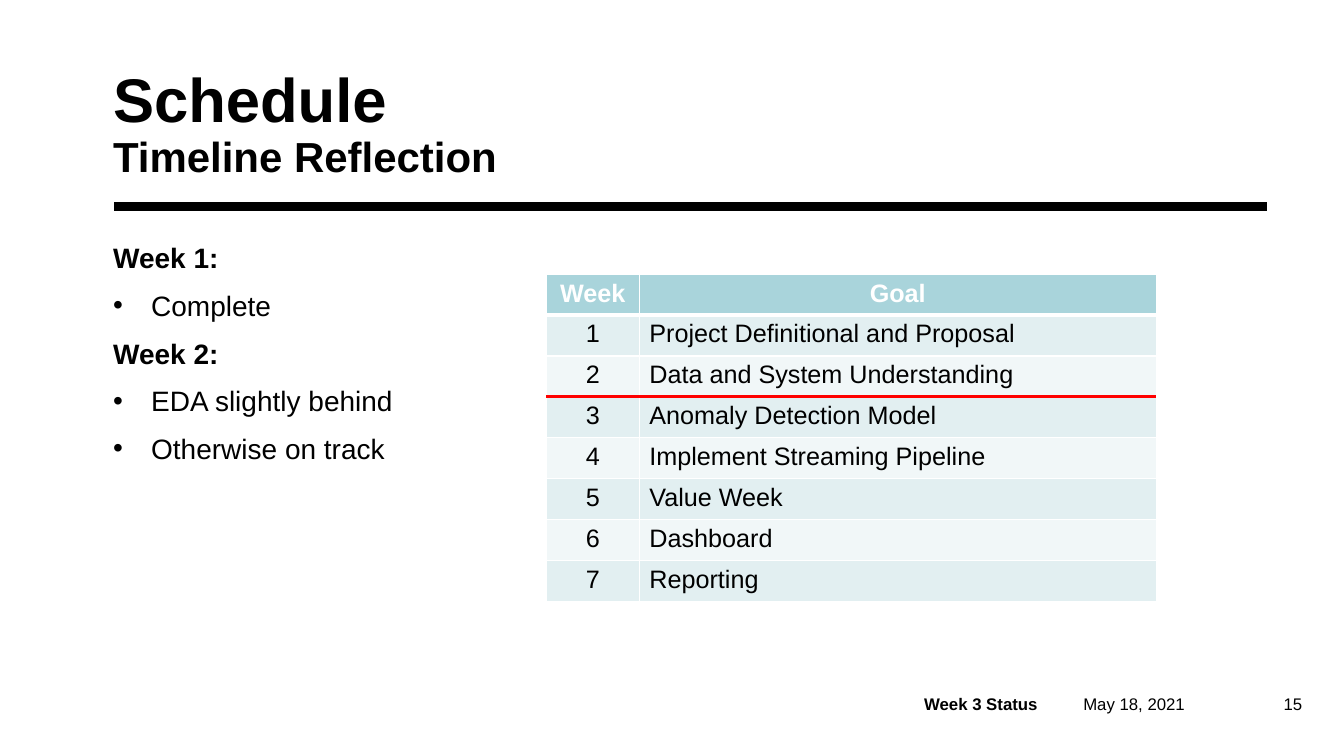
"""Build the schedule slide with its timeline table."""
import pptx
import pptx.dml.color
import pptx.enum.shapes
import pptx.enum.text
import pptx.oxml
import pptx.oxml.ns
import pptx.util

Cm = pptx.util.Cm
Pt = pptx.util.Pt
RGBColor = pptx.dml.color.RGBColor
ALIGN = pptx.enum.text.PP_ALIGN
ANCHOR = pptx.enum.text.MSO_ANCHOR
qn = pptx.oxml.ns.qn

BLACK = RGBColor(0x00, 0x00, 0x00)
WHITE = RGBColor(0xFF, 0xFF, 0xFF)
RED = RGBColor(0xFF, 0x00, 0x00)
HEADER_TEAL = RGBColor(0xA9, 0xD4, 0xDB)
BANDS = (RGBColor(0xE2, 0xEF, 0xF1), RGBColor(0xF1, 0xF7, 0xF8))

LEFT = Cm(2.85)
FOOTER_TOP = Cm(17.48)
TABLE_LEFT, TABLE_TOP = Cm(13.77), Cm(6.91)
COLUMN_WIDTHS = (Cm(2.34), Cm(13.03))
ROW_HEIGHT = Cm(1.03)
GOALS = (
    "Project Definitional and Proposal",
    "Data and System Understanding",
    "Anomaly Detection Model",
    "Implement Streaming Pipeline",
    "Value Week",
    "Dashboard",
    "Reporting",
)
STATUS = (
    ("Week 1:", ("Complete",)),
    ("Week 2:", ("EDA slightly behind", "Otherwise on track")),
)
NO_MARGINS = dict.fromkeys(
    ("margin_left", "margin_right", "margin_top", "margin_bottom"), 0)
FOOTERS = (
    ("Week 3 Status", Cm(23.04), Cm(4.06), True, ALIGN.LEFT, {}),
    ("May 18, 2021", Cm(27.3), Cm(4.24), False, ALIGN.LEFT,
     {"margin_left": 0, "margin_right": 0}),
    ("15", Cm(31.93), Cm(1.14), False, ALIGN.RIGHT, {}),
)


def apply_format(target, values):
    """Set each named attribute on the target."""
    for name, value in values.items():
        setattr(target, name, value)


def add_run(paragraph, text, size, bold=False, color=BLACK):
    """Append a formatted run to the paragraph."""
    run = paragraph.add_run()
    run.text = text
    apply_format(run.font, {"name": "Arial", "size": Pt(size), "bold": bold})
    run.font.color.rgb = color


def add_text_frame(slide, left, top, width, height, frame_format):
    """Add a wrapping text box and return its text frame."""
    frame = slide.shapes.add_textbox(left, top, width, height).text_frame
    apply_format(frame, {"word_wrap": True, **frame_format})
    return frame


def add_line(slide, left, right, top, color, width):
    """Add a horizontal line without a shadow."""
    line = slide.shapes.add_connector(
        pptx.enum.shapes.MSO_CONNECTOR.STRAIGHT, left, top, right, top)
    line.line.color.rgb = color
    line.line.width = Pt(width)
    line._element.spPr.append(pptx.oxml.parse_xml(
        f'<a:effectLst {pptx.oxml.ns.nsdecls("a")}/>'))


def add_title(slide):
    """Add the title with its subtitle on a second line."""
    frame = add_text_frame(slide, LEFT, Cm(1.07), Cm(28.02), Cm(3.5),
                           {"vertical_anchor": ANCHOR.BOTTOM, **NO_MARGINS})
    paragraph = frame.paragraphs[0]
    paragraph.line_spacing = 0.9
    add_run(paragraph, "Schedule", 44, True)
    paragraph.add_line_break()
    add_run(paragraph, "Timeline Reflection", 30, True)


def add_bullet(paragraph):
    """Give the paragraph a hanging round bullet."""
    properties = paragraph._p.get_or_add_pPr()
    indent = Cm(0.96)
    properties.set("marL", str(indent))
    properties.set("indent", str(-indent))
    for tag, name, value in (("a:buFont", "typeface", "Arial"),
                             ("a:buChar", "char", "•")):
        bullet = pptx.oxml.parse_xml(
            f'<{tag} {pptx.oxml.ns.nsdecls("a")} {name}="{value}"/>')
        properties.append(bullet)


def add_status(slide):
    """Add the weekly status headings and bullets."""
    frame = add_text_frame(slide, LEFT, Cm(6.07), Cm(10.5), Cm(11.18),
                           NO_MARGINS)
    lines = [(text, text == week) for week, notes in STATUS
             for text in (week, *notes)]
    for index, (text, heading) in enumerate(lines):
        paragraph = frame.add_paragraph() if index else frame.paragraphs[0]
        if index:
            paragraph.space_before = Pt(10)
        if not heading:
            add_bullet(paragraph)
        add_run(paragraph, text, 20, heading)


def set_borders(cell, widths):
    """Draw white borders of the given widths round the cell."""
    properties = cell._tc.get_or_add_tcPr()
    for index, (side, width) in enumerate(widths.items()):
        properties.insert(index, pptx.oxml.parse_xml(
            f'<a:ln{side} {pptx.oxml.ns.nsdecls("a")} w="{Pt(width)}">'
            f'<a:solidFill><a:srgbClr val="{WHITE}"/></a:solidFill>'
            f'</a:ln{side}>'))


def fill_cell(cell, text, row, column):
    """Write and colour one table cell."""
    header = row == 0
    cell.fill.solid()
    cell.fill.fore_color.rgb = HEADER_TEAL if header else BANDS[(row - 1) % 2]
    paragraph = cell.text_frame.paragraphs[0]
    centred = header or column == 0
    paragraph.alignment = ALIGN.CENTER if centred else ALIGN.LEFT
    add_run(paragraph, text, 18, header, WHITE if header else BLACK)
    set_borders(cell, {"L": 1, "R": 1, "T": 3 if row == 1 else 1,
                       "B": 3 if header else 1})


def add_timeline(slide):
    """Add the goal table and the line marking current progress."""
    rows = [("Week", "Goal")]
    rows += [(str(week), goal) for week, goal in enumerate(GOALS, 1)]
    width = sum(COLUMN_WIDTHS)
    table = slide.shapes.add_table(
        len(rows), len(COLUMN_WIDTHS), TABLE_LEFT, TABLE_TOP, width,
        ROW_HEIGHT * len(rows)).table
    for column, column_width in zip(table.columns, COLUMN_WIDTHS):
        column.width = column_width
    for row, texts in enumerate(rows):
        table.rows[row].height = ROW_HEIGHT
        for column, text in enumerate(texts):
            fill_cell(table.cell(row, column), text, row, column)
    add_line(slide, TABLE_LEFT, TABLE_LEFT + width,
             TABLE_TOP + 3 * ROW_HEIGHT, RED, 2)


def add_footers(slide):
    """Add the status label, date and page number."""
    for text, left, width, bold, alignment, margins in FOOTERS:
        frame = add_text_frame(slide, left, FOOTER_TOP, width, Cm(0.51),
                               {"vertical_anchor": ANCHOR.MIDDLE, **margins})
        frame.paragraphs[0].alignment = alignment
        add_run(frame.paragraphs[0], text, 12, bold)


def main():
    """Build and save the slide."""
    presentation = pptx.Presentation()
    apply_format(presentation,
                 {"slide_width": Cm(33.87), "slide_height": Cm(19.05)})
    slide = presentation.slides.add_slide(presentation.slide_layouts[6])
    add_line(slide, Cm(2.88), Cm(31.93), Cm(5.2), BLACK, 6)
    add_title(slide)
    add_footers(slide)
    add_status(slide)
    add_timeline(slide)
    presentation.save("out.pptx")


if __name__ == "__main__":
    main()
